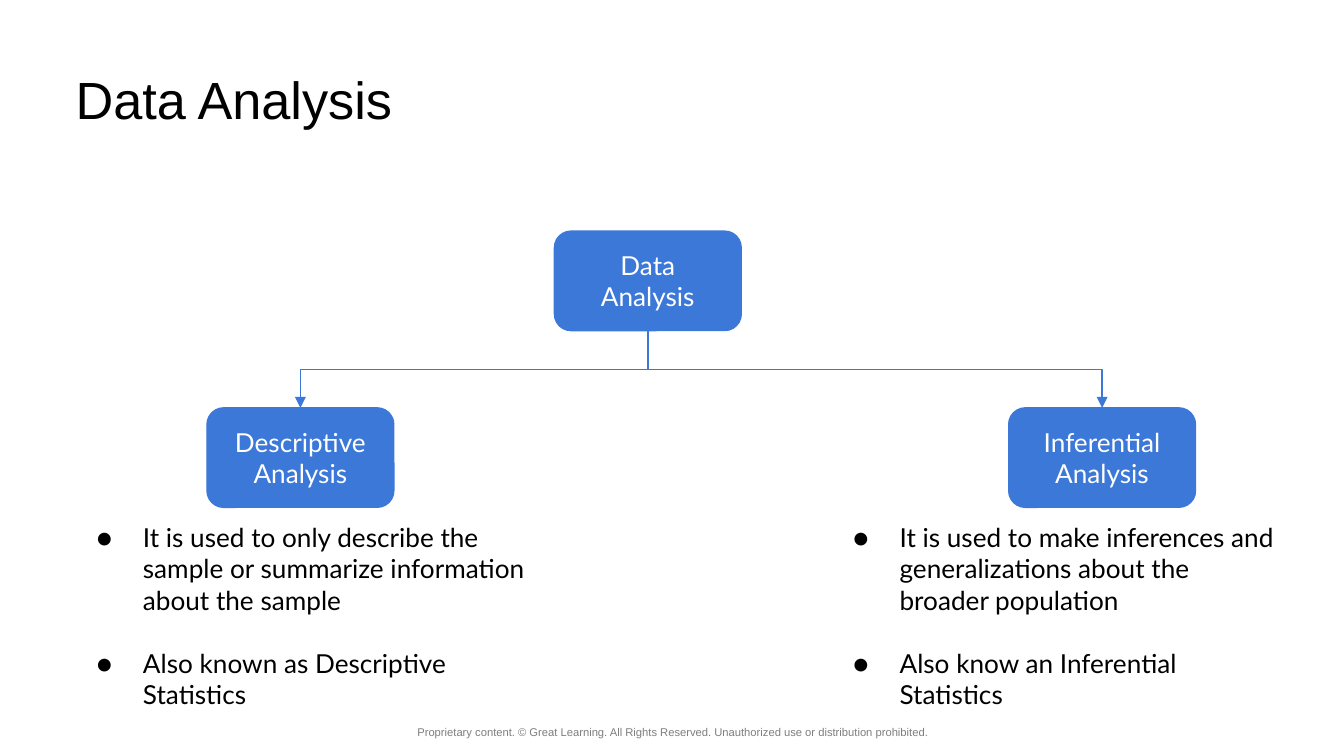
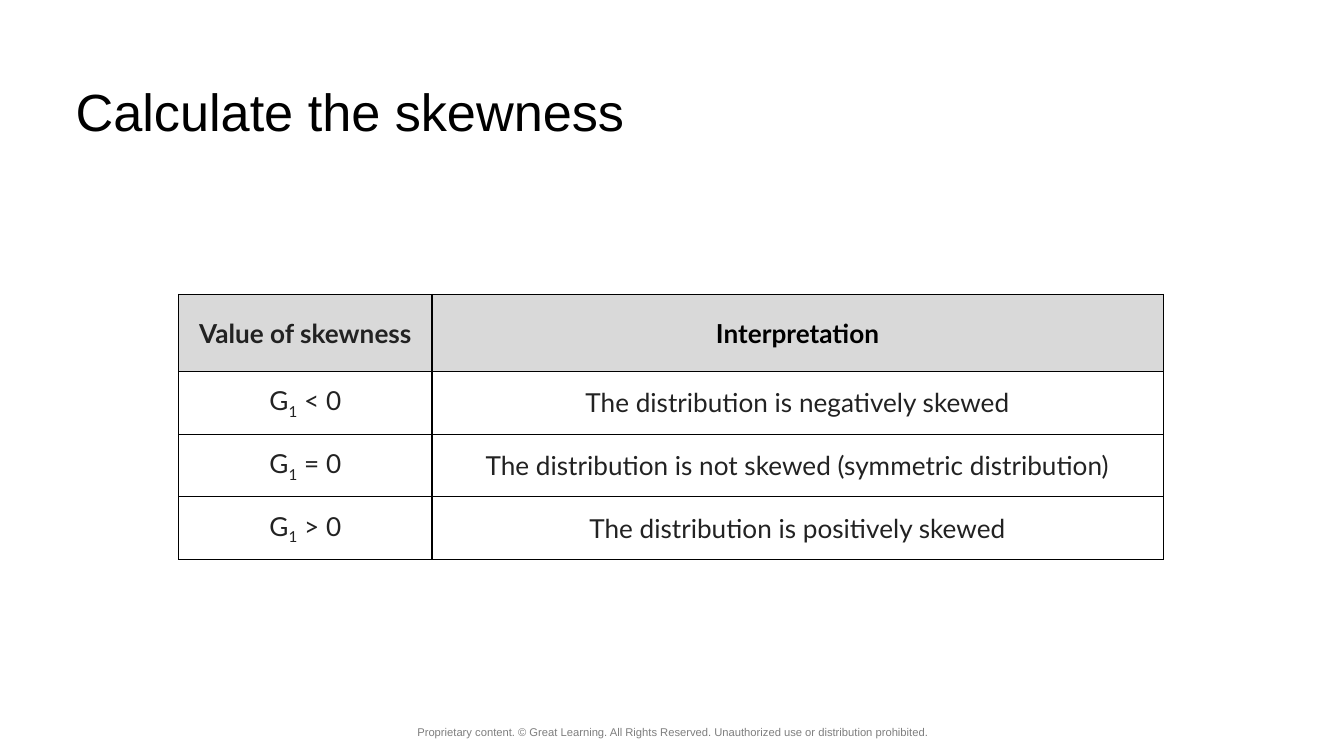
from lxml import etree
from pptx import Presentation
from pptx.dml.color import RGBColor
from pptx.enum.shapes import MSO_CONNECTOR, MSO_SHAPE
from pptx.enum.text import MSO_ANCHOR, PP_ALIGN
from pptx.oxml.ns import qn
from pptx.util import Pt

# Scale: 200 px to the inch
PX = 4572
WIDE, HIGH = 2000, 1125

# Style
BLACK = RGBColor(0x00, 0x00, 0x00)
WHITE = RGBColor(0xFF, 0xFF, 0xFF)
BLUE = RGBColor(0x3C, 0x78, 0xD8)
INK = RGBColor(0x22, 0x22, 0x22)
GRAY = RGBColor(0x7E, 0x7E, 0x7E)
SILVER = RGBColor(0xD9, 0xD9, 0xD9)
HEAD, BODY = "Arial", "Lato"
LINE = 0.75
INSET = 20
GAP = 17

CENTER = PP_ALIGN.CENTER
TOP, MIDDLE = MSO_ANCHOR.TOP, MSO_ANCHOR.MIDDLE
ROUND = MSO_SHAPE.ROUNDED_RECTANGLE
ELBOW = MSO_CONNECTOR.ELBOW
TOP_SITE, LOW_SITE = 0, 2

FOOTER = ("Proprietary content. © Great Learning. All Rights Reserved. "
          "Unauthorized use or distribution prohibited.")


def emu(*px):
    return [n * PX for n in px]


def sub(parent, tag, **attrs):
    node = etree.SubElement(parent, qn(tag))
    for name, value in attrs.items():
        node.set(name, str(value))
    return node


class Deck:
    def __init__(self):
        self.prs = Presentation()
        self.prs.slide_width, self.prs.slide_height = emu(WIDE, HIGH)
        self.slide = None

    def page(self, title, top):
        """Start a slide with its footer and title."""
        self.slide = self.prs.slides.add_slide(self.prs.slide_layouts[6])
        frame = self.text(489, 1064, 1022, 60)
        frame.margin_top = 30 * PX
        foot = frame.paragraphs[0]
        foot.alignment, foot.line_spacing = CENTER, 1.02
        foot._p.get_or_add_pPr().set("marL", str(2 * PX))
        self.run(foot, FOOTER, 6, GRAY, HEAD)
        head = self.text(93, top, 1474, 126).paragraphs[0]
        self.run(head, title, 28, BLACK, HEAD)

    def run(self, par, words, size=14, color=BLACK, font=BODY, bold=False):
        run = par.add_run()
        run.text = words
        run.font.size, run.font.name = Pt(size), font
        run.font.bold = bold
        run.font.color.rgb = color
        return run

    def inset(self, box):
        box.margin_left, box.margin_right = emu(INSET, INSET)
        box.margin_top, box.margin_bottom = emu(INSET, INSET)

    def frame(self, frame, anchor):
        frame.word_wrap = True
        frame.vertical_anchor = anchor
        self.inset(frame)
        return frame

    def text(self, *box):
        shape = self.slide.shapes.add_textbox(*emu(*box))
        return self.frame(shape.text_frame, TOP)

    def node(self, words, x, y):
        """Draw one rounded box of the tree."""
        shape = self.slide.shapes.add_shape(ROUND, *emu(x, y, 278, 148))
        shape.shadow.inherit = False
        shape.fill.solid()
        shape.fill.fore_color.rgb = BLUE
        shape.line.color.rgb, shape.line.width = BLUE, Pt(LINE)
        par = self.frame(shape.text_frame, MIDDLE).paragraphs[0]
        par.alignment = CENTER
        self.run(par, words, color=WHITE)
        return shape

    def link(self, top, low):
        """Join two boxes by an elbow that leaves downwards."""
        x1, y1 = top.left + top.width // 2, top.top + top.height
        x2, y2 = low.left + low.width // 2, low.top
        link = self.slide.shapes.add_connector(ELBOW, x1, y1, x2, y2)
        link.begin_connect(top, LOW_SITE)
        link.end_connect(low, TOP_SITE)
        # The elbow runs sideways by nature, so lay it out turned
        drop, span, right = y2 - y1, abs(x2 - x1), x2 > x1
        link.left, link.top = (x1 + x2 - drop) // 2, (y1 + y2 - span) // 2
        link.width, link.height = drop, span
        props = link._element.spPr
        form = props.find(qn("a:xfrm"))
        form.set("rot", str((270 if right else 90) * 60000))
        form.set("flipH", "1" if right else "0")
        link.line.color.rgb, link.line.width = BLUE, Pt(LINE)
        sub(props.find(qn("a:ln")), "a:tailEnd", type="triangle")
        sub(props, "a:effectLst")

    def list(self, items, *box):
        frame = self.text(*box)
        for i, words in enumerate(items):
            par = frame.add_paragraph() if i else frame.paragraphs[0]
            if i:
                par.space_before = Pt(GAP)
            props = par._p.get_or_add_pPr()
            props.set("marL", str(100 * PX))
            props.set("indent", str(-69 * PX))
            sub(sub(props, "a:buClr"), "a:srgbClr", val=BLACK)
            sub(props, "a:buFont", typeface=BODY)
            sub(props, "a:buChar", char="●")
            self.run(par, words)

    def cell(self, cell, fill=None):
        """Set borders, fill and margins; return the paragraph."""
        props = cell._tc.get_or_add_tcPr()
        for side in "LRTB":
            line = sub(props, f"a:ln{side}", w=int(Pt(LINE)))
            sub(sub(line, "a:solidFill"), "a:srgbClr", val=BLACK)
        if fill is None:
            cell.fill.background()
        else:
            cell.fill.solid()
            cell.fill.fore_color.rgb = fill
        cell.vertical_anchor = MIDDLE
        self.inset(cell)
        par = cell.text_frame.paragraphs[0]
        par.alignment = CENTER
        return par

    def table(self, heads, rows, x, y, cols, highs):
        grid = self.slide.shapes.add_table(
            len(highs), len(cols), *emu(x, y, sum(cols), sum(highs))).table
        grid.horz_banding = False
        for col, wide in zip(grid.columns, emu(*cols)):
            col.width = wide
        for row, high in zip(grid.rows, emu(*highs)):
            row.height = high
        for c, (words, color) in enumerate(heads):
            par = self.cell(grid.cell(0, c), SILVER)
            self.run(par, words, color=color, bold=True)
        for r, (sign, words) in enumerate(rows, 1):
            par = self.cell(grid.cell(r, 0))
            self.run(par, "G", color=INK)
            low = self.run(par, "1", color=INK)
            low._r.get_or_add_rPr().set("baseline", "-25000")
            self.run(par, f" {sign} 0", color=INK)
            self.run(self.cell(grid.cell(r, 1)), words, color=INK)


def main():
    deck = Deck()

    # Slide 1: tree of analysis kinds
    deck.page("Data Analysis", 80)
    root = deck.node("Data Analysis", 825, 344)
    kinds = [
        ("Descriptive Analysis", 308, 93, 374, [
            "It is used to only describe the sample or summarize "
            "information about the sample",
            "Also known as Descriptive Statistics"]),
        ("Inferential Analysis", 1501, 1219, 316, [
            "It is used to make inferences and generalizations about "
            "the broader population",
            "Also know an Inferential Statistics"]),
    ]
    for name, x, left, high, items in kinds:
        deck.link(root, deck.node(name, x, 607))
        deck.list(items, left, 756, 710, high)

    # Slide 2: reading the skewness value
    deck.page("Calculate the skewness", 98)
    heads = [("Value of skewness", INK), ("Interpretation", BLACK)]
    rows = [
        ("<", "The distribution is negatively skewed"),
        ("=", "The distribution is not skewed (symmetric distribution)"),
        (">", "The distribution is positively skewed"),
    ]
    deck.table(heads, rows, 266, 438, [377, 1088], [115] + [86] * len(rows))

    deck.prs.save("out.pptx")


if __name__ == "__main__":
    main()
